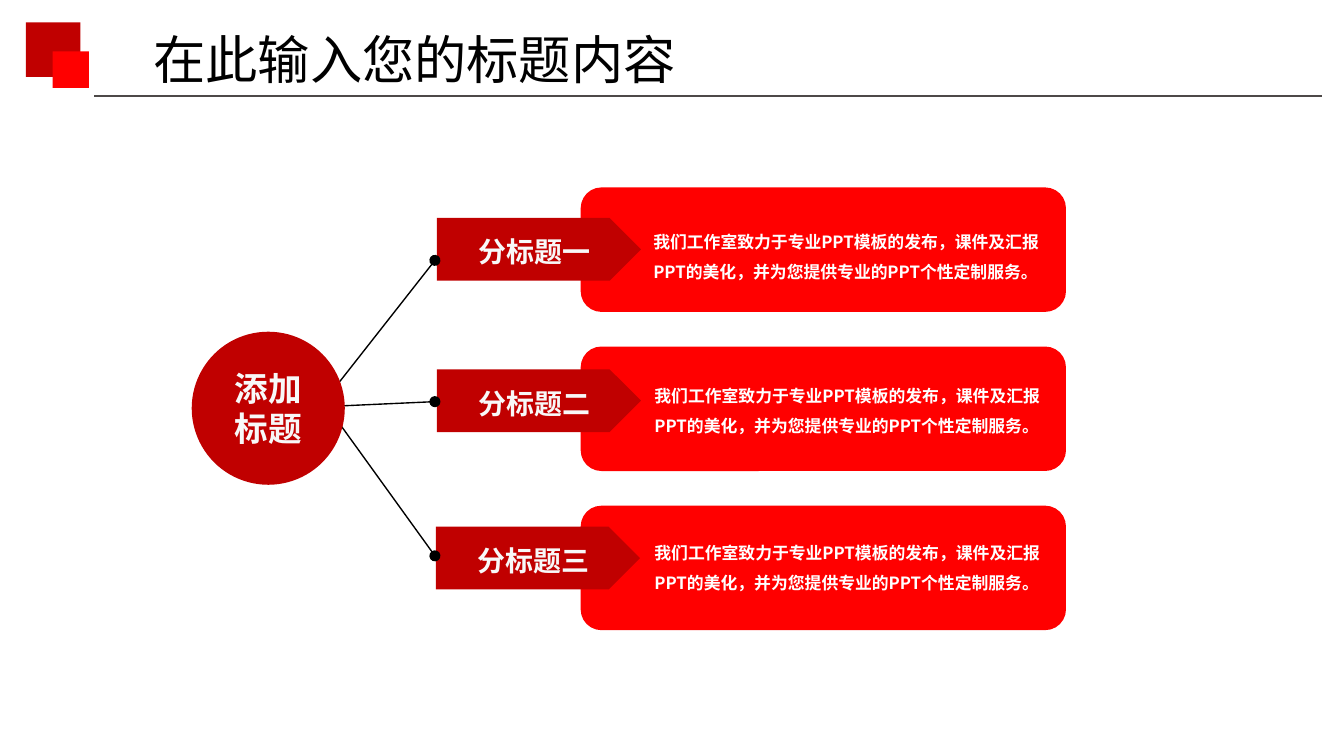
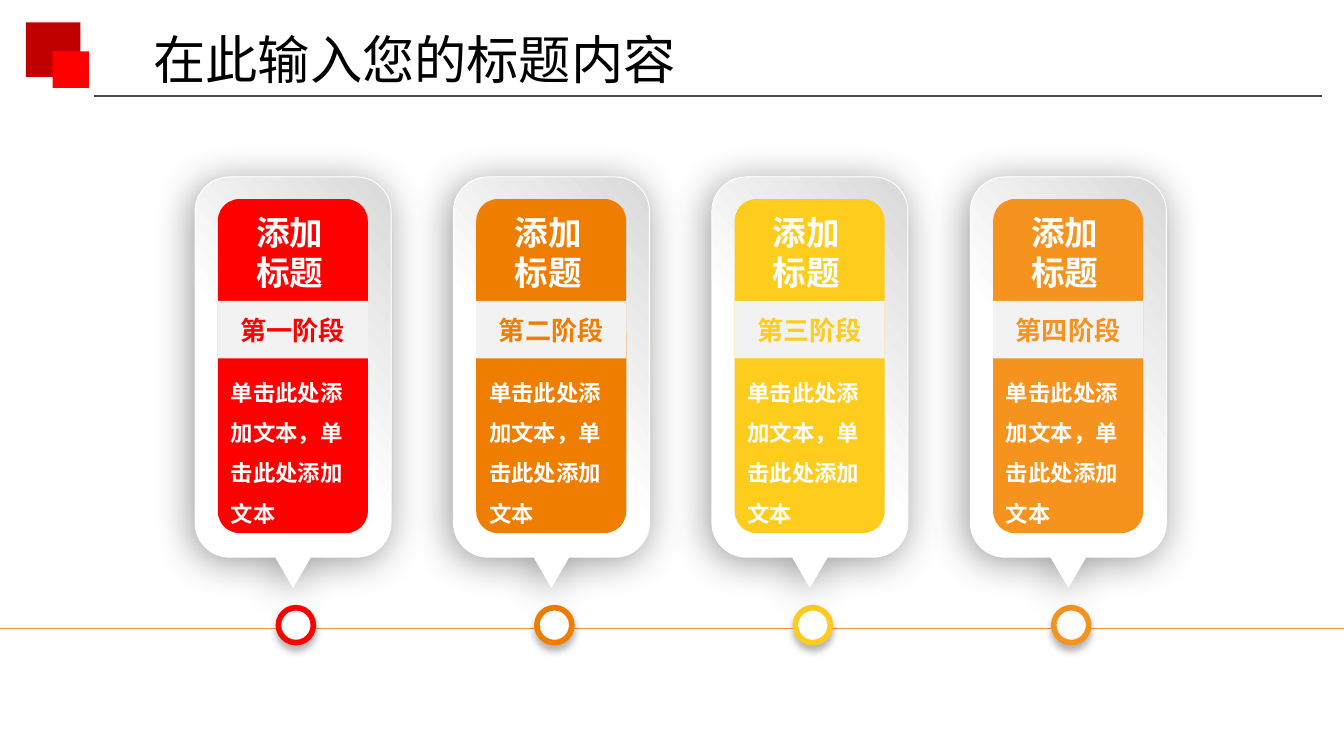
from lxml.etree import SubElement
from pptx import Presentation
from pptx.dml.color import RGBColor
from pptx.enum.shapes import MSO_CONNECTOR, MSO_SHAPE
from pptx.enum.text import MSO_ANCHOR, MSO_AUTO_SIZE, PP_ALIGN
from pptx.oxml.ns import qn
from pptx.util import Pt

COLORS = {
    "dark_red": "C00000",
    "red": "FF0000",
    "orange": "EE7D00",
    "yellow": "FDCC1C",
    "amber": "F6931E",
    "timeline": "F69240",
    "rule": "4D4948",
    "black": "000000",
    "white": "FFFFFF",
    "off_white": "F8F8F8",
    "band": "F2F2F2",
    "card_edge": "D9D9D9",
}
RGB = {name: RGBColor.from_string(value) for name, value in COLORS.items()}
CJK_FONT = "Noto Sans CJK SC"
LATIN_FONT = "Arial"


def add_box(shapes, kind, at, fill=None, lines=(), size=12, color="white", bold=True,
            font=CJK_FONT, align=PP_ALIGN.LEFT, anchor=MSO_ANCHOR.TOP, spacing=None,
            insets=(7.2, 3.6, 7.2, 3.6), grow=False):
    place = [Pt(value) for value in at]
    if kind is None:
        box = shapes.add_textbox(*place)
    else:
        box = shapes.add_shape(kind, *place)
        box.shadow.inherit = False
        box.fill.solid()
        box.fill.fore_color.rgb = RGB[fill]
        box.line.fill.background()
    if not lines:
        return box
    frame = box.text_frame
    frame.word_wrap = True
    frame.vertical_anchor = anchor
    if grow:
        frame.auto_size = MSO_AUTO_SIZE.SHAPE_TO_FIT_TEXT
    frame.margin_left, frame.margin_top, frame.margin_right, frame.margin_bottom = map(Pt, insets)
    for index, runs in enumerate(lines):
        para = frame.add_paragraph() if index else frame.paragraphs[0]
        para.alignment = align
        if spacing:
            para.line_spacing = spacing
        for text, text_size in ([(runs, size)] if isinstance(runs, str) else runs):
            span = para.add_run()
            span.text = text
            span.font.name = font
            span.font.size = Pt(text_size)
            span.font.bold = bold
            span.font.color.rgb = RGB[color]
            SubElement(span.font._element, qn("a:ea"), typeface=CJK_FONT)
    return box


def add_line(page, start_x, start_y, end_x, end_y, color, ovals=False):
    line = page.shapes.add_connector(
        MSO_CONNECTOR.STRAIGHT, Pt(start_x), Pt(start_y), Pt(end_x), Pt(end_y))
    line.line.color.rgb = RGB[color]
    line.line.width = Pt(0.75)
    if ovals:
        outline = line.line._get_or_add_ln()
        for end in ("a:headEnd", "a:tailEnd"):
            SubElement(outline, qn(end), type="oval")
    SubElement(line._element.spPr, qn("a:effectLst"))


deck = Presentation()
deck.slide_width = Pt(720)
deck.slide_height = Pt(405)
pages = [deck.slides.add_slide(deck.slide_layouts[6]) for _ in range(2)]

for page in pages:
    add_box(page.shapes, MSO_SHAPE.RECTANGLE, (13.9, 12, 29.2, 29.3), "dark_red")
    add_box(page.shapes, MSO_SHAPE.RECTANGLE, (28.2, 27.6, 19.5, 19.5), "red")
    add_line(page, 708, 51.5, 50.4, 51.5, "rule")
    add_box(page.shapes, None, (75.2, 11.1, 305.3, 41.2), lines=["在此输入您的标题内容"],
            size=28, color="black", bold=False, grow=True)

branch_page, stage_page = pages

BODY = "我们工作室致力于专业PPT模板的发布，课件及汇报PPT的美化，并为您提供专业的PPT个性定制服务。"
branches = [
    ("分标题一", 342.9, 115.1, 234, 116.8, (173.5, 215.3, 139.5)),
    ("分标题二", 343.5, 197.5, 234, 197.9, (166.5, 218.2, 215.2)),
    ("分标题三", 343.5, 281.6, 233.5, 282.2, (173.5, 215.3, 297.8)),
]
for index, (_, body_left, body_top, *_) in enumerate(branches):
    group = branch_page.shapes.add_group_shape()
    add_box(group.shapes, MSO_SHAPE.ROUNDED_RECTANGLE,
            (311.1, 100.4 + 85.25 * index, 260, 66.7), "red")
    add_box(group.shapes, MSO_SHAPE.RECTANGLE, (body_left, body_top, 221, 40.3), "red",
            [BODY], size=9, spacing=1.5, grow=True)

for label, _, _, label_left, label_top, _ in branches:
    add_box(branch_page.shapes, MSO_SHAPE.PENTAGON, (label_left, label_top, 109.4, 33.6),
            "dark_red", [[(" ", 18), (label, 15)]], color="off_white", font=LATIN_FONT,
            align=PP_ALIGN.CENTER, anchor=MSO_ANCHOR.MIDDLE, insets=(5, 3, 5, 3))

for *_, (start_x, start_y, end_y) in branches:
    add_line(branch_page, start_x, start_y, 233, end_y, "black", ovals=True)

add_box(branch_page.shapes, MSO_SHAPE.OVAL, (102.7, 177.7, 82, 82), "dark_red",
        ["添加", "标题"], size=18, color="off_white", font=LATIN_FONT,
        align=PP_ALIGN.CENTER, anchor=MSO_ANCHOR.MIDDLE, insets=(5, 3, 5, 3))

add_line(stage_page, 0, 336.8, 720, 336.8, "timeline")

stages = [("第一阶段", "red"), ("第二阶段", "orange"),
          ("第三阶段", "yellow"), ("第四阶段", "amber")]
STAGE_STEP = 138.45
CARD_WIDTH, CARD_TOP, CARD_BOTTOM, CORNER = 105, 94.8, 298.5, 18.5
for index, (stage, color) in enumerate(stages):
    left = 104.5 + STAGE_STEP * index
    right, middle = left + CARD_WIDTH, left + CARD_WIDTH / 2
    panel_left = left + 12.2

    node = add_box(stage_page.shapes, MSO_SHAPE.OVAL, (left + 44.7, 325.6, 18.7, 18.7), "white")
    node.line.color.rgb = RGB[color]
    node.line.width = Pt(3)

    outline = [(Pt(x), Pt(y)) for x, y in [
        (left + CORNER, CARD_TOP), (right - CORNER, CARD_TOP),
        (right, CARD_TOP + CORNER), (right, CARD_BOTTOM - CORNER),
        (right - CORNER, CARD_BOTTOM), (middle + 9.3, CARD_BOTTOM),
        (middle, 314.5), (middle - 9.3, CARD_BOTTOM),
        (left + CORNER, CARD_BOTTOM), (left, CARD_BOTTOM - CORNER),
        (left, CARD_TOP + CORNER), (left + CORNER, CARD_TOP),
    ]]
    group = stage_page.shapes.add_group_shape()
    builder = group.shapes.build_freeform(*outline[0])
    builder.add_line_segments(outline[1:])
    card = builder.convert_to_shape()

    segments = list(card._element.iter(qn("a:lnTo")))
    origin_x, origin_y = Pt(left), Pt(CARD_TOP)
    for end, turns_down in [(2, True), (4, False), (9, True), (11, False)]:
        (start_x, start_y), (end_x, end_y) = outline[end - 1], outline[end]
        corner_x, corner_y = (end_x, start_y) if turns_down else (start_x, end_y)
        curve = segments[end - 1]
        curve.tag = qn("a:cubicBezTo")
        curve.remove(curve[0])
        for x, y in [(start_x + 0.55 * (corner_x - start_x), start_y + 0.55 * (corner_y - start_y)),
                     (end_x + 0.55 * (corner_x - end_x), end_y + 0.55 * (corner_y - end_y)),
                     (end_x, end_y)]:
            SubElement(curve, qn("a:pt"), x=str(round(x - origin_x)), y=str(round(y - origin_y)))

    card.shadow.inherit = False
    card.fill.gradient()
    card.fill.gradient_angle = 40
    for stop, (position, tint) in zip(card.fill.gradient_stops,
                                      [(0.45, "white"), (1, "card_edge")]):
        stop.position = position
        stop.color.rgb = RGB[tint]
    card.line.color.rgb = RGB["white"]
    card.line.width = Pt(0.5)

    for shape, alpha, blur, direction in [(node, 29, 4, 90), (card, 40, 21, 135)]:
        effects = shape._element.spPr.find(qn("a:effectLst"))
        shadow = SubElement(effects, qn("a:outerShdw"), blurRad=str(Pt(blur)), dist=str(Pt(3)),
                            dir=str(direction * 60000), algn="ctr", rotWithShape="0")
        tone = SubElement(shadow, qn("a:srgbClr"), val=COLORS["black"])
        SubElement(tone, qn("a:alpha"), val=str(alpha * 1000))

    panel = add_box(group.shapes, MSO_SHAPE.ROUNDED_RECTANGLE,
                    (panel_left, 106.6, 80.4, 179), color)
    panel.adjustments[0] = 0.146
    add_box(group.shapes, MSO_SHAPE.RECTANGLE, (panel_left, 161.2, 80.4, 30.8), "band",
            [stage], size=14, color=color, align=PP_ALIGN.CENTER, anchor=MSO_ANCHOR.MIDDLE)
    add_box(group.shapes, None, (panel_left + 9.3, 110.1, 58.3, 41), lines=["添加", "标题"],
            size=18, align=PP_ALIGN.CENTER, grow=True)
    add_box(group.shapes, None, (panel_left - 0.2, 192.2, 80.5, 94.3),
            lines=["单击此处添加文本，单击此处添加文本"], spacing=1.5, grow=True)

deck.save("out.pptx")
